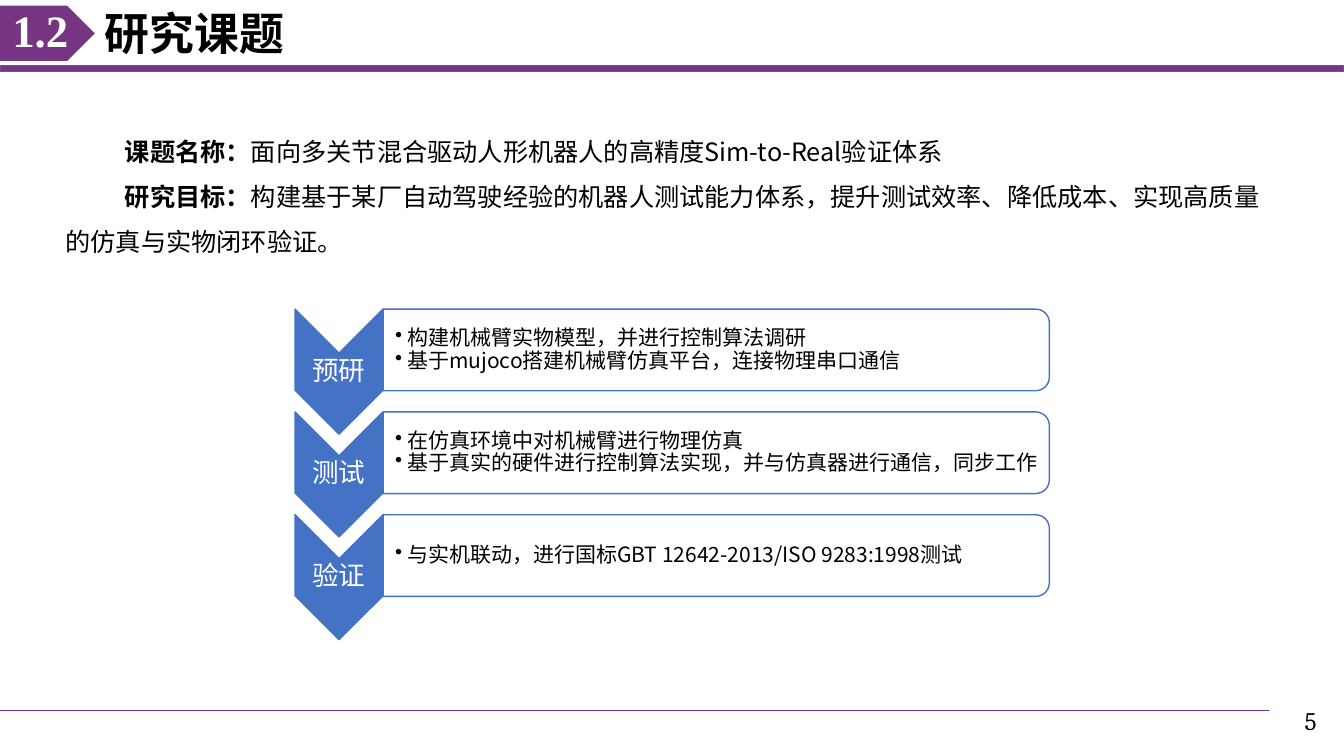
from dataclasses import dataclass

import pptx
import pptx.dml.color
import pptx.enum.shapes
import pptx.enum.text
import pptx.oxml.ns
import pptx.util
from lxml import etree

COLUMNS, ROWS = 80, 45  # square cells
COLOURS = {"purple": "753582", "bar edge": "715096", "footer": "7030A0",
           "blue": "4472C4", "black": "000000", "white": "FFFFFF"}
SANS, SERIF, PAGE_FONT = "Noto Sans CJK SC", "Times New Roman", "Cambria"
ALIGN = pptx.enum.text.PP_ALIGN
ANCHOR = pptx.enum.text.MSO_ANCHOR
SHAPE = pptx.enum.shapes.MSO_SHAPE
qn = pptx.oxml.ns.qn

presentation = pptx.Presentation()
presentation.slide_width = pptx.util.Inches(13.33)
presentation.slide_height = pptx.util.Inches(7.5)
slide = presentation.slides.add_slide(presentation.slide_layouts[6])


@dataclass
class Box:
    """An area as it shows on the slide, in columns and rows."""
    left: float
    top: float
    width: float
    height: float


@dataclass
class Style:
    size: float
    colour: str = "black"
    font: str = SANS
    bold: bool = False
    align: ALIGN = ALIGN.LEFT
    spacing: float = 0.9
    first_indent: float = 0
    bullet: bool = False


@dataclass
class Stage:
    label: str
    tasks: list[str]


def across(columns: float) -> int:
    return round(presentation.slide_width * columns / COLUMNS)


def down(rows: float) -> int:
    return round(presentation.slide_height * rows / ROWS)


def rgb(name: str) -> pptx.dml.color.RGBColor:
    return pptx.dml.color.RGBColor.from_string(COLOURS[name])


def add_block(kind: SHAPE, box: Box, fill: str, line: str | None = None,
              turned: bool = False, opacity: int = 100):
    """Draw a preset shape; a turned one is rotated to fill the given box."""
    width, height = across(box.width), down(box.height)
    left, top = across(box.left), down(box.top)
    if turned:
        left, top = left + (width - height) // 2, top + (height - width) // 2
        width, height = height, width
    shape = slide.shapes.add_shape(kind, left, top, width, height)
    shape.rotation = 90 if turned else 0
    shape.shadow.inherit = False
    shape.fill.solid()
    shape.fill.fore_color.rgb = rgb(fill)
    if opacity < 100:
        colour = shape.fill._xPr.find(".//" + qn("a:srgbClr"))
        etree.SubElement(colour, qn("a:alpha"), val=str(opacity * 1000))
    if line:
        shape.line.color.rgb = rgb(line)
        shape.line.width = pptx.util.Pt(1)
    else:
        shape.line.fill.background()
    return shape


def add_text(box: Box, paragraphs: list[list[str]], style: Style,
             anchor: ANCHOR = ANCHOR.MIDDLE,
             margins: tuple[float, float, float, float] = (0.6, 0.3, 0.6, 0.3)) -> None:
    """Write paragraphs; in one of several runs, the first run is bold."""
    shape = slide.shapes.add_textbox(across(box.left), down(box.top),
                                     across(box.width), down(box.height))
    frame = shape.text_frame
    frame.word_wrap = True
    frame.vertical_anchor = anchor
    frame.margin_left, frame.margin_right = across(margins[0]), across(margins[2])
    frame.margin_top, frame.margin_bottom = down(margins[1]), down(margins[3])
    for index, texts in enumerate(paragraphs):
        paragraph = frame.add_paragraph() if index else frame.paragraphs[0]
        paragraph.alignment = style.align
        paragraph.line_spacing = style.spacing
        properties = paragraph._p.get_or_add_pPr()
        if style.bullet:
            hanging = across(0.72)
            properties.set("marL", str(hanging))
            properties.set("indent", str(-hanging))
            etree.SubElement(properties, qn("a:buChar"), char="•")
        elif style.first_indent:
            properties.set("indent", str(across(style.first_indent)))
        font = paragraph.font
        font.size = pptx.util.Pt(style.size)
        font.name = style.font
        font.color.rgb = rgb(style.colour)
        if style.bold:
            font.bold = True
        latin = properties.find(".//" + qn("a:latin"))
        latin.addnext(etree.Element(qn("a:ea"), typeface=SANS))
        for position, text in enumerate(texts):
            run = paragraph.add_run()
            run.text = text
            if len(texts) > 1 and position == 0:
                run.font.bold = True


# Header
add_block(SHAPE.RECTANGLE, Box(0, 3.9, COLUMNS, 0.36), "purple", "bar edge")
badge = add_block(SHAPE.SNIP_2_SAME_RECTANGLE, Box(0, 0.33, 5.64, 3.3), "purple", turned=True)
badge.adjustments[0], badge.adjustments[1] = 0.5, 0
add_text(Box(5.64, 0.36, 71, 3.54), [["研究课题"]], Style(32, font=SERIF, bold=True))
add_text(Box(0, 0.24, 4.8, 3.54), [["1.2"]],
         Style(32, "white", SERIF, bold=True, align=ALIGN.CENTER), ANCHOR.TOP)

# Footer
rule = slide.shapes.add_connector(pptx.enum.shapes.MSO_CONNECTOR.STRAIGHT,
                                  0, down(42.3), across(75.56), down(42.3))
rule.line.color.rgb = rgb("footer")
rule.line.width = pptx.util.Pt(1)
etree.SubElement(rule._element.spPr, qn("a:effectLst"))
add_text(Box(74.7, 41.7, 4.26, 2.4), [["5"]],
         Style(18, font=PAGE_FONT, align=ALIGN.RIGHT, spacing=1.0))

# Topic and goal
add_text(Box(3.3, 6.9, 73.45, 8.52), [
    ["课题名称：", "面向多关节混合驱动人形机器人的高精度Sim-to-Real验证体系"],
    ["研究目标：", "构建基于某厂自动驾驶经验的机器人测试能力体系，提升测试效率、"
                "降低成本、实现高质量的仿真与实物闭环验证。"],
], Style(18, spacing=1.5, first_indent=3.54), ANCHOR.TOP)

# Stages
STAGES = [
    Stage("预研", ["构建机械臂实物模型，并进行控制算法调研",
                 "基于mujoco搭建机械臂仿真平台，连接物理串口通信"]),
    Stage("测试", ["在仿真环境中对机械臂进行物理仿真",
                 "基于真实的硬件进行控制算法实现，并与仿真器进行通信，同步工作"]),
    Stage("验证", ["与实机联动，进行国标GBT 12642-2013/ISO 9283:1998测试"]),
]
STAGE_TOP, STAGE_PITCH = 18.4, 6.12
ARROW_LEFT, ARROW_WIDTH = 17.56, 5.24
PANEL_LEFT = ARROW_LEFT + ARROW_WIDTH
TIGHT = 0.06
for number, stage in enumerate(STAGES):
    top = STAGE_TOP + number * STAGE_PITCH
    add_block(SHAPE.CHEVRON, Box(ARROW_LEFT, top, ARROW_WIDTH, 7.44),
              "blue", "blue", turned=True)
    add_text(Box(ARROW_LEFT, top + 2.6, ARROW_WIDTH, 2.22), [[stage.label]],
             Style(19, "white", align=ALIGN.CENTER), margins=(TIGHT,) * 4)
    add_block(SHAPE.ROUND_2_SAME_RECTANGLE, Box(PANEL_LEFT, top, 39.66, 4.86),
              "white", "blue", turned=True, opacity=90)
    add_text(Box(PANEL_LEFT, top + 0.24, 39.42, 4.38), [[task] for task in stage.tasks],
             Style(15, bullet=True), margins=(0.72, TIGHT, TIGHT, TIGHT))

presentation.save("out.pptx")
